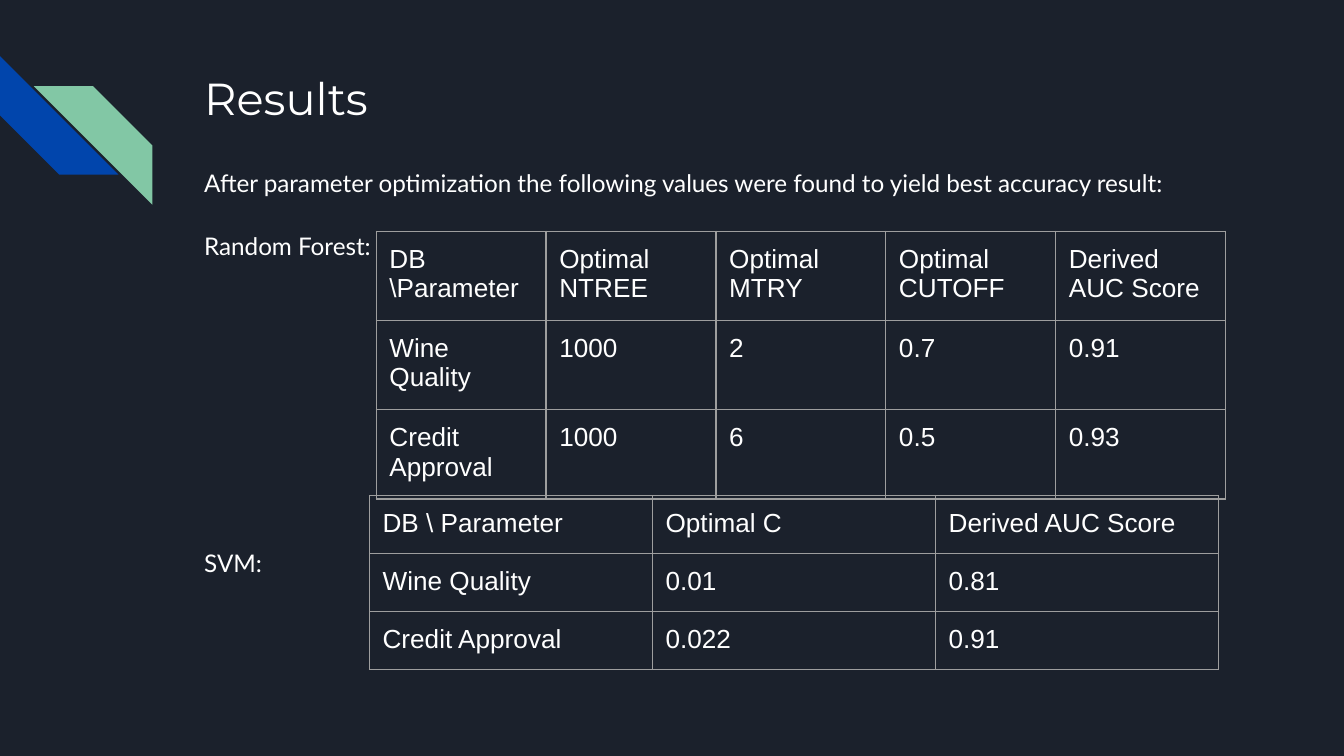
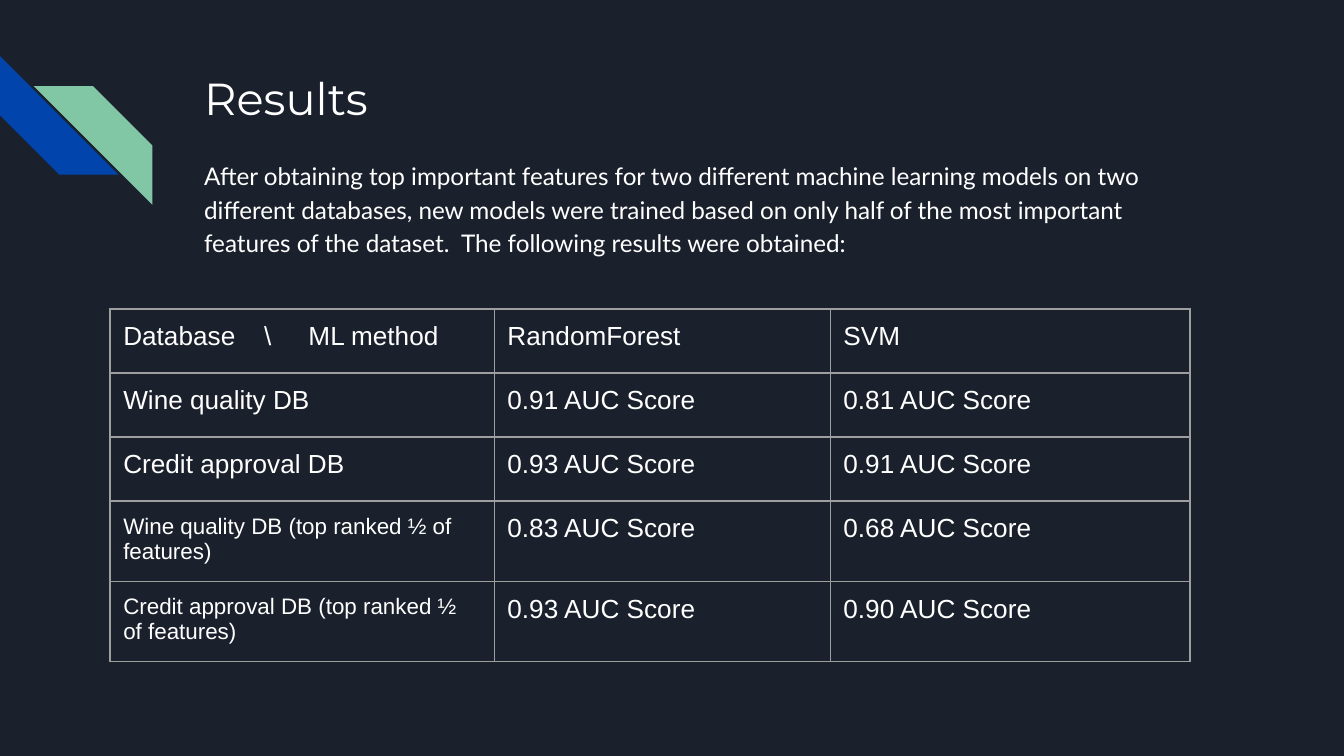
from lxml import etree
from pptx import Presentation
from pptx import util as u
from pptx.dml.color import RGBColor
from pptx.enum import shapes, text
from pptx.oxml.ns import qn

WHITE, NAVY, BLUE, GREEN, GREY = "FFFFFF", "1B212C", "0145AC", "82C7A5", "9E9E9E"
PAD = u.Cm(0.25)


def rgb(value):
    """Turn a hex string into a colour."""
    return RGBColor.from_string(value)


class Deck:
    """Hold the style and the current slide."""

    def __init__(self):
        """Set the slide size and the dark background."""
        self.prs = Presentation()
        self.prs.slide_width, self.prs.slide_height = u.Cm(25.4), u.Cm(14.29)
        fill = self.prs.slide_master.background.fill
        fill.solid()
        fill.fore_color.rgb = rgb(NAVY)

    def slide(self, title):
        """Start a slide with the corner stripes and a title."""
        self.s = self.prs.slides.add_slide(self.prs.slide_layouts[6])
        self.stripe(0, 1.06, 270, BLUE)
        self.stripe(0.64, 1.63, 90, GREEN)
        tf = self.box(1.09, 2.54)
        self.run(tf.paragraphs[0], title, 24, "Montserrat")

    def stripe(self, x, y, turn, color):
        """Draw one diagonal stripe."""
        sp = self.s.shapes.add_shape(shapes.MSO_SHAPE.DIAGONAL_STRIPE,
                                     u.Cm(x), u.Cm(y), u.Cm(2.24), u.Cm(2.24))
        sp.rotation = turn
        sp.shadow.inherit = False
        sp.fill.solid()
        sp.fill.fore_color.rgb = rgb(color)
        sp.line.fill.background()

    def box(self, y, height):
        """Add a text box in the main column and return its frame."""
        sp = self.s.shapes.add_textbox(u.Cm(3.61), u.Cm(y), u.Cm(19.56), u.Cm(height))
        tf = sp.text_frame
        tf.word_wrap = True
        tf.vertical_anchor = text.MSO_ANCHOR.TOP
        tf.margin_left = tf.margin_right = tf.margin_top = tf.margin_bottom = PAD
        return tf

    def run(self, p, words, size, font):
        """Add a white run to a paragraph."""
        r = p.add_run()
        r.text = words
        r.font.size, r.font.name = u.Pt(size), font
        r.font.color.rgb = rgb(WHITE)

    def body(self, y, height, paragraphs):
        """Add body text from pairs of words and space before."""
        tf = self.box(y, height)
        for i, (words, before) in enumerate(paragraphs):
            p = tf.add_paragraph() if i else tf.paragraphs[0]
            p.line_spacing = 1.15
            p.space_before = u.Pt(before)
            self.run(p, words, 13, "Lato")

    def table(self, x, y, widths, height, rows, small=()):
        """Add a ruled table; small lists rows whose label is 12 points."""
        frame = self.s.shapes.add_table(len(rows), len(widths), u.Cm(x), u.Cm(y),
                                        u.Cm(sum(widths)), u.Cm(height * len(rows)))
        tbl = frame.table
        tbl.first_row = tbl.horz_banding = False
        for col, width in zip(tbl.columns, widths):
            col.width = u.Cm(width)
        for i, row in enumerate(rows):
            tbl.rows[i].height = u.Cm(height)
            for j, words in enumerate(row):
                cell = tbl.cell(i, j)
                cell.margin_left = cell.margin_right = PAD
                cell.margin_top = cell.margin_bottom = PAD
                cell.fill.background()
                self.borders(cell)
                size = 12 if j == 0 and i in small else 14
                self.run(cell.text_frame.paragraphs[0], words, size, "Arial")
        return tbl

    def borders(self, cell):
        """Rule all four sides of a cell."""
        pr = cell._tc.get_or_add_tcPr()
        for i, side in enumerate(("a:lnL", "a:lnR", "a:lnT", "a:lnB")):
            ln = etree.Element(qn(side), w=str(u.Pt(0.75)))
            fill = etree.SubElement(ln, qn("a:solidFill"))
            etree.SubElement(fill, qn("a:srgbClr"), val=GREY)
            pr.insert(i, ln)

    def tabs(self, cell, stops):
        """Set left tab stops in a cell."""
        pr = cell.text_frame.paragraphs[0]._p.get_or_add_pPr()
        tabs = etree.SubElement(pr, qn("a:tabLst"))
        for stop in stops:
            etree.SubElement(tabs, qn("a:tab"), pos=str(u.Cm(stop)), algn="l")


def main():
    """Build both results slides."""
    deck = Deck()

    deck.slide("Results")
    deck.body(2.84, 10.57, [
        ("After parameter optimization the following values were found to yield "
         "best accuracy result:", 0),
        ("Random Forest:", 16),
        ("SVM:", 152),
    ])
    deck.table(7.11, 4.37, [3.21] * 5, 1.06, [
        ("DB \\Parameter", "Optimal NTREE", "Optimal MTRY", "Optimal CUTOFF",
         "Derived AUC Score"),
        ("Wine Quality", "1000", "2", "0.7", "0.91"),
        ("Credit Approval", "1000", "6", "0.5", "0.93"),
    ])
    deck.table(6.98, 9.37, [5.35] * 3, 1.06, [
        ("DB \\ Parameter", "Optimal C", "Derived AUC Score"),
        ("Wine Quality", "0.01", "0.81"),
        ("Credit Approval", "0.022", "0.91"),
    ])

    deck.slide("Results")
    deck.body(2.72, 8.08, [
        ("After obtaining top important features for two different machine learning "
         "models on two different databases, new models were trained based on only "
         "half of the most important features of the dataset.  The following results "
         "were obtained:", 0),
    ])
    scores = [
        ("Wine quality DB", "0.91", "0.81"),
        ("Credit approval DB", "0.93", "0.91"),
        ("Wine quality DB (top ranked ½ of features)", "0.83", "0.68"),
        ("Credit approval DB (top ranked ½ of features)", "0.93", "0.90"),
    ]
    rows = [("Database\t\\\tML method", "RandomForest", "SVM")]
    rows += [(name, f"{forest} AUC Score", f"{svm} AUC Score")
             for name, forest, svm in scores]
    tbl = deck.table(2.08, 5.84, [7.26, 6.35, 6.8], 1.21, rows, small=(3, 4))
    deck.tabs(tbl.cell(0, 0), (2.66, 3.5))

    deck.prs.save("out.pptx")


if __name__ == "__main__":
    main()
